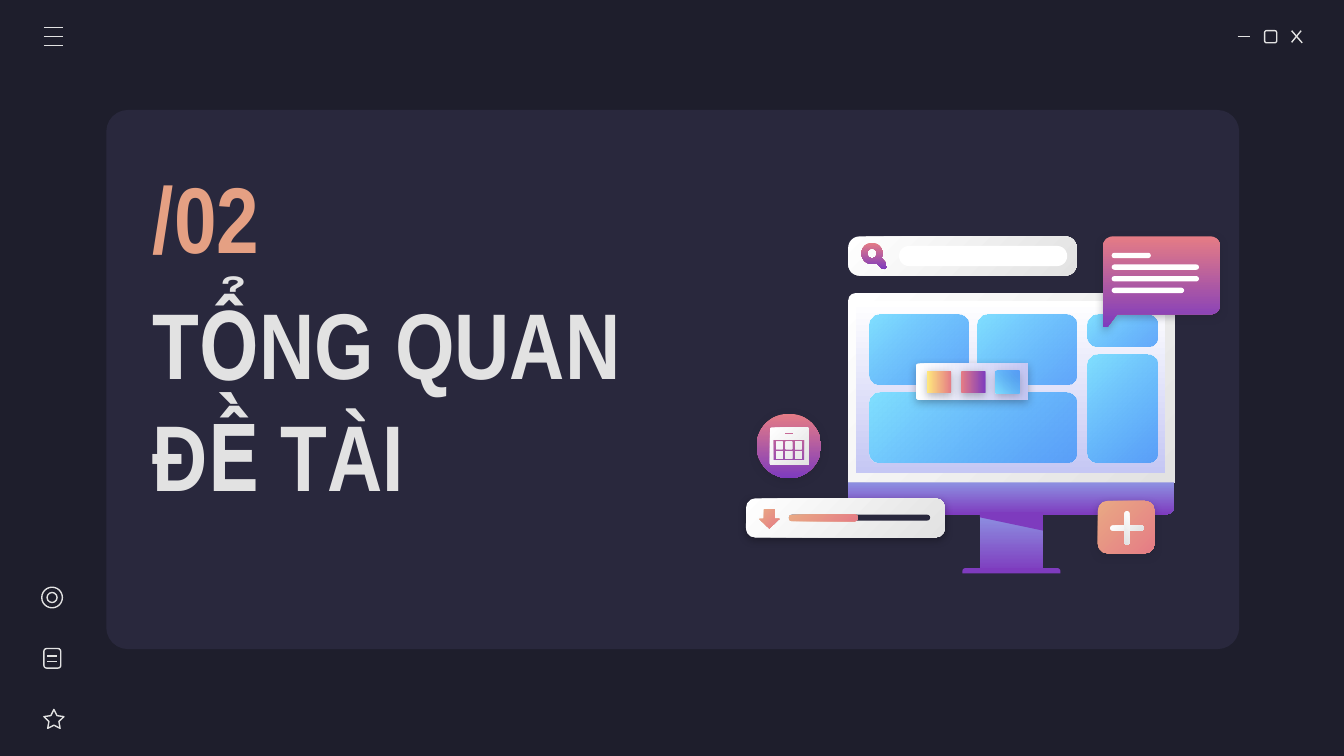
from dataclasses import dataclass
from math import cos, radians, sin
from typing import NamedTuple, Optional, Union

from lxml.etree import SubElement
from pptx import Presentation
from pptx.dml.color import RGBColor
from pptx.enum.shapes import MSO_CONNECTOR, MSO_SHAPE
from pptx.enum.text import MSO_ANCHOR, MSO_AUTO_SIZE, PP_ALIGN
from pptx.oxml.ns import qn
from pptx.util import Cm, Pt

NIGHT = RGBColor(0x1E, 0x1E, 0x2C)
PANEL = RGBColor(0x29, 0x28, 0x3D)
BLACK = RGBColor(0x00, 0x00, 0x00)
WHITE = RGBColor(0xFF, 0xFF, 0xFF)
PALE = RGBColor(0xE2, 0xE2, 0xE2)
LILAC = RGBColor(0xC5, 0xC7, 0xF4)
MAUVE = RGBColor(0x8D, 0x90, 0xE1)
PURPLE = RGBColor(0x7E, 0x3B, 0xBE)
ROSE = RGBColor(0xE5, 0x7C, 0x85)
PEACH = RGBColor(0xE9, 0xA9, 0x84)
ORANGE = RGBColor(0xE5, 0xA0, 0x83)
YELLOW = RGBColor(0xFF, 0xEA, 0x7D)
SKY = RGBColor(0x80, 0xDF, 0xFF)
BLUE = RGBColor(0x31, 0x8F, 0xFA)
FONT = "Arial Narrow"

ROUND = MSO_SHAPE.ROUNDED_RECTANGLE
RECT = MSO_SHAPE.RECTANGLE
CAP = MSO_SHAPE.ROUND_2_SAME_RECTANGLE
OVAL = MSO_SHAPE.OVAL


class Blend(NamedTuple):
    start: RGBColor
    end: RGBColor
    angle: int = 45  # clockwise
    alpha: int = 100  # opacity of the end colour


GLOSS = Blend(WHITE, PALE)
DUSK = Blend(ROSE, PURPLE, 90)
IRIS = Blend(MAUVE, PURPLE, 90)
WARM = Blend(PEACH, ROSE)
WATER = Blend(SKY, BLUE, 45, 72)
FROST = Blend(WHITE, LILAC, 90)
Paint = Union[RGBColor, Blend, None]


@dataclass
class Block:
    """A preset shape in cm; without paint it is an outlined icon."""
    kind: MSO_SHAPE
    x: float
    y: float
    w: float
    h: float
    paint: Paint = None
    adj: tuple = ()
    turn: int = 0
    shade: Optional[RGBColor] = None


class Stroke(NamedTuple):
    x: float
    y: float
    to_x: float
    to_y: float


def style(shape, paint: Paint, shade: Optional[RGBColor] = None) -> None:
    shape.shadow.inherit = False
    if paint is None:
        shape.fill.background()
        shape.line.color.rgb = PALE
        shape.line.width = Pt(0.75)
        return
    shape.line.fill.background()
    if isinstance(paint, Blend):
        shape.fill.gradient()
        shape.fill.gradient_angle = 360 - paint.angle
        for stop, tone in zip(shape.fill.gradient_stops, paint[:2]):
            stop.color.rgb = tone
        if paint.alpha < 100:
            end = shape.element.xpath(".//a:gs[2]/a:srgbClr")[0]
            SubElement(end, qn("a:alpha"), val=str(paint.alpha * 1000))
    else:
        shape.fill.solid()
        shape.fill.fore_color.rgb = paint
    if shade is not None:
        effects = shape.element.xpath(".//a:effectLst")[0]
        outer = SubElement(effects, qn("a:outerShdw"), blurRad=str(Pt(4.5)),
                           dist=str(Pt(1.5)), dir="5400000", algn="bl", rotWithShape="0")
        tone = SubElement(outer, qn("a:srgbClr"), val=str(shade))
        SubElement(tone, qn("a:alpha"), val="30000")


def draw(shapes, *items: Union[Block, Stroke]) -> None:
    for item in items:
        if isinstance(item, Stroke):
            line = shapes.add_connector(MSO_CONNECTOR.STRAIGHT, *map(Cm, item))
            line.line.color.rgb = PALE
            line.line.width = Pt(0.75)
            SubElement(line.element.spPr, qn("a:effectLst"))
            continue
        shape = shapes.add_shape(item.kind, *map(Cm, (item.x, item.y, item.w, item.h)))
        for i, value in enumerate(item.adj):
            shape.adjustments[i] = value
        shape.rotation = item.turn
        style(shape, item.paint, item.shade)


def trace(shapes, rings: list, paint: Paint, shade: Optional[RGBColor] = None) -> None:
    """Draw closed outlines as one shape; inner rings become holes."""
    rings = [[(Cm(x), Cm(y)) for x, y in ring] for ring in rings]
    pen = shapes.build_freeform(*rings[0][0])
    for i, ring in enumerate(rings):
        if i:
            pen.move_to(*ring[0])
        pen.add_line_segments(ring[1:], close=True)
    style(pen.convert_to_shape(), paint, shade)


def arc(x: float, y: float, r: float, start: int, end: int, step: int = 10) -> list:
    turns = [radians(a) for a in range(start, end + 1, step)]
    return [(x + r * cos(a), y + r * sin(a)) for a in turns]


def box(x: float, y: float, w: float, h: float) -> list:
    return [(x, y), (x + w, y), (x + w, y + h), (x, y + h)]


def tile(x: float, y: float, w: float, h: float) -> Block:
    return Block(ROUND, x, y, w, h, WATER, (0.19 / min(w, h),))


def write(shape, text: str, tone: RGBColor) -> None:
    frame = shape.text_frame
    frame.word_wrap = True
    frame.auto_size = MSO_AUTO_SIZE.NONE
    frame.vertical_anchor = MSO_ANCHOR.MIDDLE
    frame.margin_left = frame.margin_right = Cm(0.25)
    frame.margin_top = frame.margin_bottom = Cm(0.25)
    para = frame.paragraphs[0]
    para.alignment = PP_ALIGN.LEFT
    run = para.add_run()
    run.text = text
    run.font.name, run.font.size, run.font.bold = FONT, Pt(50), True
    run.font.color.rgb = tone


def frame_icons(shapes) -> None:
    draw(shapes.add_group_shape().shapes,
         Stroke(23.39, 0.69, 23.62, 0.69),
         Block(ROUND, 23.9, 0.58, 0.23, 0.23),
         Stroke(24.41, 0.58, 24.61, 0.81), Stroke(24.59, 0.58, 24.41, 0.8))
    draw(shapes.add_group_shape().shapes,
         *[Stroke(0.83, y, 1.2, y) for y in (0.52, 0.69, 0.86)])
    draw(shapes.add_group_shape().shapes,
         Block(MSO_SHAPE.STAR_5_POINT, 0.83, 13.41, 0.38, 0.36, adj=(0.25,)),
         Block(ROUND, 0.83, 12.26, 0.32, 0.37),
         *[Stroke(0.89, y, 1.08, y) for y in (12.4, 12.5)],
         Block(OVAL, 0.79, 11.1, 0.39, 0.39), Block(OVAL, 0.89, 11.2, 0.19, 0.19))


def computer(shapes) -> None:
    draw(shapes,
         Block(CAP, 16.03, 5.54, 6.17, 3.58, GLOSS, (0.04, 0)),
         Block(CAP, 16.03, 9.12, 6.17, 0.61, IRIS, (0, 0.29)),
         Block(RECT, 16.18, 5.69, 5.84, 3.25, FROST),
         Block(RECT, 18.52, 9.73, 1.19, 1.09, IRIS),
         Block(CAP, 18.19, 10.74, 1.85, 0.1, PURPLE, (0.5, 0)))
    trace(shapes, [[(18.52, 9.68), (18.52, 9.78), (19.71, 10.03), (19.71, 9.68)]], PURPLE)
    draw(shapes, tile(16.43, 5.94, 1.88, 1.32), tile(16.43, 7.42, 3.91, 1.32),
         tile(18.47, 5.94, 1.88, 1.32), tile(20.55, 5.94, 1.32, 0.61),
         tile(20.55, 6.71, 1.32, 2.03))


def widgets(shapes) -> None:
    bubble = (arc(21.03, 4.65, 0.18, 180, 270) + arc(22.88, 4.65, 0.18, 270, 360)
              + arc(22.88, 5.76, 0.18, 0, 90) + [(21.11, 5.94), (20.93, 6.18), (20.85, 6.18)])
    trace(shapes, [bubble], DUSK, NIGHT)
    draw(shapes, *[Block(ROUND, 21.01, 4.78 + 0.22 * i, w, 0.1, WHITE, (0.5,))
                   for i, w in enumerate((0.74, 1.65, 1.65, 1.37))])
    draw(shapes,
         Block(ROUND, 14.1, 9.42, 3.76, 0.74, GLOSS, (0.24,), shade=BLACK),
         Block(ROUND, 14.91, 9.73, 2.67, 0.11, PANEL, (0.5,)),
         Block(ROUND, 14.91, 9.73, 1.3, 0.12, WARM, (0.4,)),
         Block(MSO_SHAPE.DOWN_ARROW, 14.35, 9.63, 0.38, 0.36, WARM, (0.53, 0.5)),
         Block(ROUND, 20.75, 9.47, 1.07, 0.99, WARM, (0.18,), shade=NIGHT),
         *[Block(ROUND, 20.98, 9.93, 0.64, 0.1, GLOSS, (0.5,), turn) for turn in (0, 90)],
         Block(ROUND, 18.03, 6.15, 0.69, 2.13, FROST, (0.07,), 270, NIGHT),
         *[Block(ROUND, 17.53 + 0.65 * i, 6.99, 0.43, 0.46, paint, (0.07,), 270, NIGHT)
           for i, paint in enumerate((Blend(YELLOW, ROSE, 90), DUSK, WATER))],
         Block(ROUND, 16.03, 4.47, 4.32, 0.74, GLOSS, (0.29,)))
    handle = [(16.75, 4.98), (16.76, 5.05), (16.72, 5.09), (16.66, 5.07)]
    trace(shapes, [arc(16.48, 4.79, 0.2, 65, 385) + handle,
                   arc(16.48, 4.79, 0.09, 0, 350)], DUSK)
    draw(shapes, Block(ROUND, 16.99, 4.65, 3.18, 0.38, WHITE, (0.5,)))


def calendar(shapes) -> None:
    draw(shapes, Block(OVAL, 14.3, 7.82, 1.22, 1.22, DUSK, shade=NIGHT))
    sheet = (arc(14.59, 8.12, 0.04, 180, 270) + arc(15.25, 8.12, 0.04, 270, 360)
             + arc(15.25, 8.75, 0.04, 0, 90) + arc(14.59, 8.75, 0.04, 90, 180))
    days = [box(14.67 + 0.18 * i, 8.35 + 0.18 * j, 0.12, 0.14)
            for j in range(2) for i in range(3)]
    trace(shapes, [sheet, box(14.83, 8.18, 0.16, 0.03), box(14.61, 8.31, 0.6, 0.4), *days], GLOSS)


def main() -> None:
    deck = Presentation()
    deck.slide_width, deck.slide_height = Cm(25.4), Cm(14.29)
    slide = deck.slides.add_slide(deck.slide_layouts[5])
    slide.background.fill.solid()
    slide.background.fill.fore_color.rgb = NIGHT
    shapes = slide.shapes
    draw(shapes, Block(ROUND, 2.01, 2.08, 21.41, 10.19, PANEL, (0.04,)))
    frame_icons(shapes)
    art = shapes.add_group_shape().shapes
    computer(art)
    widgets(art)
    calendar(shapes.add_group_shape().shapes)

    write(shapes.add_textbox(*map(Cm, (2.64, 2.92, 4.52, 2.34))), "/02", ORANGE)
    title = shapes.title
    title.left, title.top, title.width, title.height = map(Cm, (2.64, 5.44, 10.92, 4.17))
    write(title, "TỔNG QUAN ĐỀ TÀI", PALE)
    title.element.getparent().append(title.element)  # in front of the panel
    deck.save("out.pptx")


if __name__ == "__main__":
    main()
